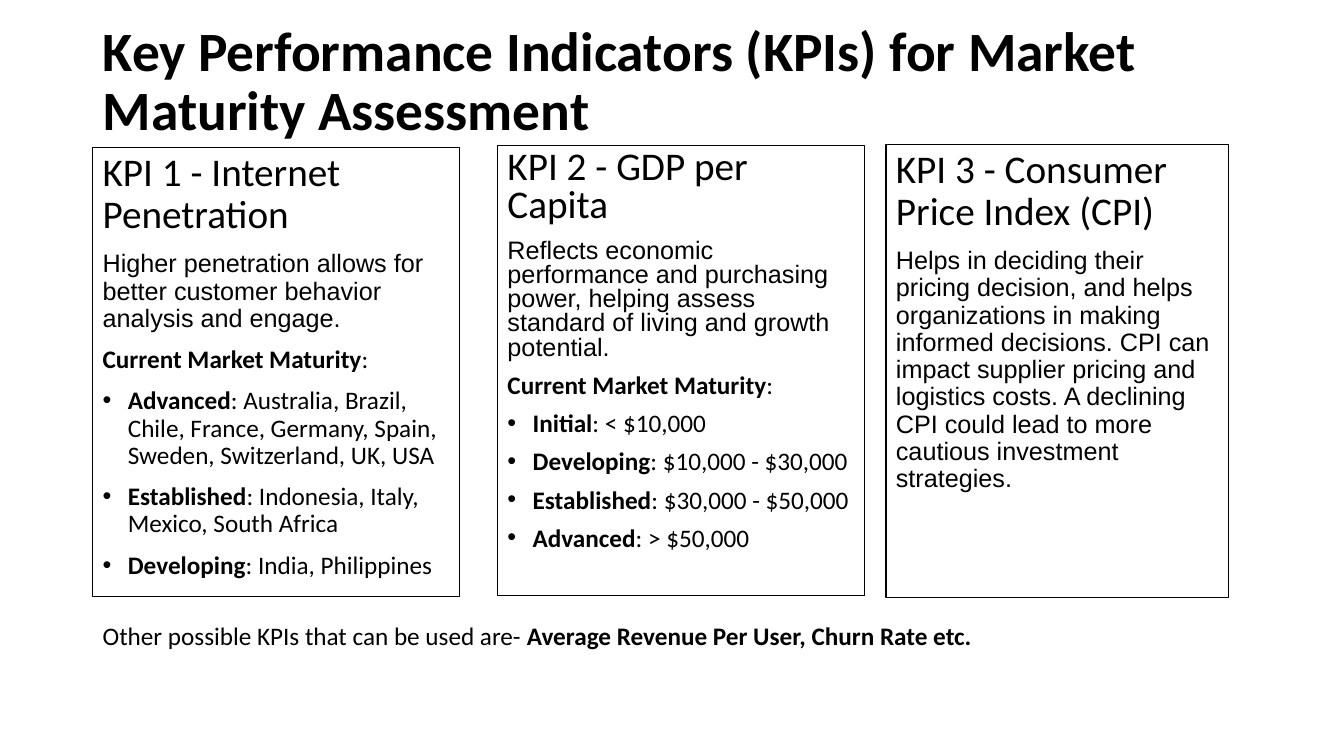
from lxml.etree import SubElement
from pptx import Presentation
from pptx.dml.color import RGBColor
from pptx.enum.shapes import MSO_SHAPE as Shape
from pptx.enum.text import MSO_ANCHOR as Anchor, MSO_AUTO_SIZE as AutoSize, PP_ALIGN as Align
from pptx.oxml.ns import qn
from pptx.util import Pt

BLACK = RGBColor(0, 0, 0)
HEADING_FONT = "Calibri"
BODY_FONT = "Arial"
LEFT = 66.24
MATURITY = "Current Market Maturity"

CARDS = [
    ((LEFT, 105.4, 262, 321), 0.9, "KPI 1 - Internet Penetration",
     "Higher penetration allows for better customer behavior analysis and engage.",
     [("Advanced", "Australia, Brazil, Chile, France, Germany, Spain, Sweden, Switzerland, UK, USA"),
      ("Established", "Indonesia, Italy, Mexico, South Africa"),
      ("Developing", "India, Philippines")]),
    ((355.4, 104.1, 262, 321), 0.8, "KPI 2 - GDP per Capita",
     "Reflects economic performance and purchasing power, helping assess "
     "standard of living and growth potential.",
     [("Initial", "< $10,000"),
      ("Developing", "$10,000 - $30,000"),
      ("Established", "$30,000 - $50,000"),
      ("Advanced", "> $50,000")]),
    ((632.9, 103.1, 244.8, 324), 0.9, "KPI 3 - Consumer Price Index (CPI)",
     "Helps in deciding their pricing decision, and helps organizations in making "
     "informed decisions. CPI can impact supplier pricing and logistics costs. "
     "A declining CPI could lead to more cautious investment strategies.",
     []),
]


class KpiSlide:
    def __init__(self, presentation):
        self.slide = presentation.slides.add_slide(presentation.slide_layouts[5])

    def place(self, shape, box):
        shape.left, shape.top, shape.width, shape.height = map(Pt, box)

    def fill_paragraph(self, paragraph, runs, size=18, font=HEADING_FONT, spacing=1.0, before=0):
        paragraph.alignment = Align.LEFT
        paragraph.line_spacing = spacing
        paragraph.space_before = Pt(before)
        paragraph.font.name = font
        paragraph.font.size = Pt(size)
        paragraph.font.color.rgb = BLACK
        for text, bold in runs:
            run = paragraph.add_run()
            run.text = text
            run.font.bold = bold

    def bullet(self, paragraph):
        properties = paragraph._p.get_or_add_pPr()
        properties.set("marL", str(Pt(18)))
        properties.set("indent", str(Pt(-18)))
        following = properties.find(qn("a:defRPr"))
        font = SubElement(properties, qn("a:buFont"), typeface=BODY_FONT)
        mark = SubElement(properties, qn("a:buChar"), char="•")
        following.addprevious(font)
        following.addprevious(mark)

    def title(self, text, box):
        shape = self.slide.shapes.title
        self.place(shape, box)
        frame = shape.text_frame
        frame.auto_size = AutoSize.NONE
        frame.word_wrap = True
        frame.vertical_anchor = Anchor.MIDDLE
        frame.margin_bottom = Pt(47)
        self.fill_paragraph(frame.paragraphs[0], [(text, True)], 39.6, spacing=0.9)

    def card(self, box, spacing, heading, summary, levels):
        shape = self.slide.shapes.add_shape(Shape.RECTANGLE, *map(Pt, box))
        shape.shadow.inherit = False
        shape.fill.background()
        shape.line.color.rgb = BLACK
        shape.line.width = Pt(0.75)
        frame = shape.text_frame
        frame.word_wrap = True
        frame.vertical_anchor = Anchor.TOP
        style = {"spacing": spacing, "before": 10}
        self.fill_paragraph(frame.paragraphs[0], [(heading, False)], 28, **style)
        self.fill_paragraph(frame.add_paragraph(), [(summary, False)], font=BODY_FONT, **style)
        if levels:
            self.fill_paragraph(frame.add_paragraph(), [(MATURITY, True), (":", False)], **style)
        for level, detail in levels:
            paragraph = frame.add_paragraph()
            self.fill_paragraph(paragraph, [(level, True), (f": {detail}", False)], **style)
            self.bullet(paragraph)

    def note(self, runs, box):
        frame = self.slide.shapes.add_textbox(*map(Pt, box)).text_frame
        frame.word_wrap = True
        self.fill_paragraph(frame.paragraphs[0], runs)


def main():
    presentation = Presentation()
    presentation.slide_width = Pt(960)
    presentation.slide_height = Pt(540)
    page = KpiSlide(presentation)
    page.title("Key Performance Indicators (KPIs) for Market Maturity Assessment",
               (LEFT, 28.8, 828, 104.4))
    for card in CARDS:
        page.card(*card)
    page.note([("Other possible KPIs that can be used are- ", False),
               ("Average Revenue Per User, Churn Rate etc.", True)],
              (LEFT, 439.2, 812, 29))
    presentation.save("out.pptx")


if __name__ == "__main__":
    main()
